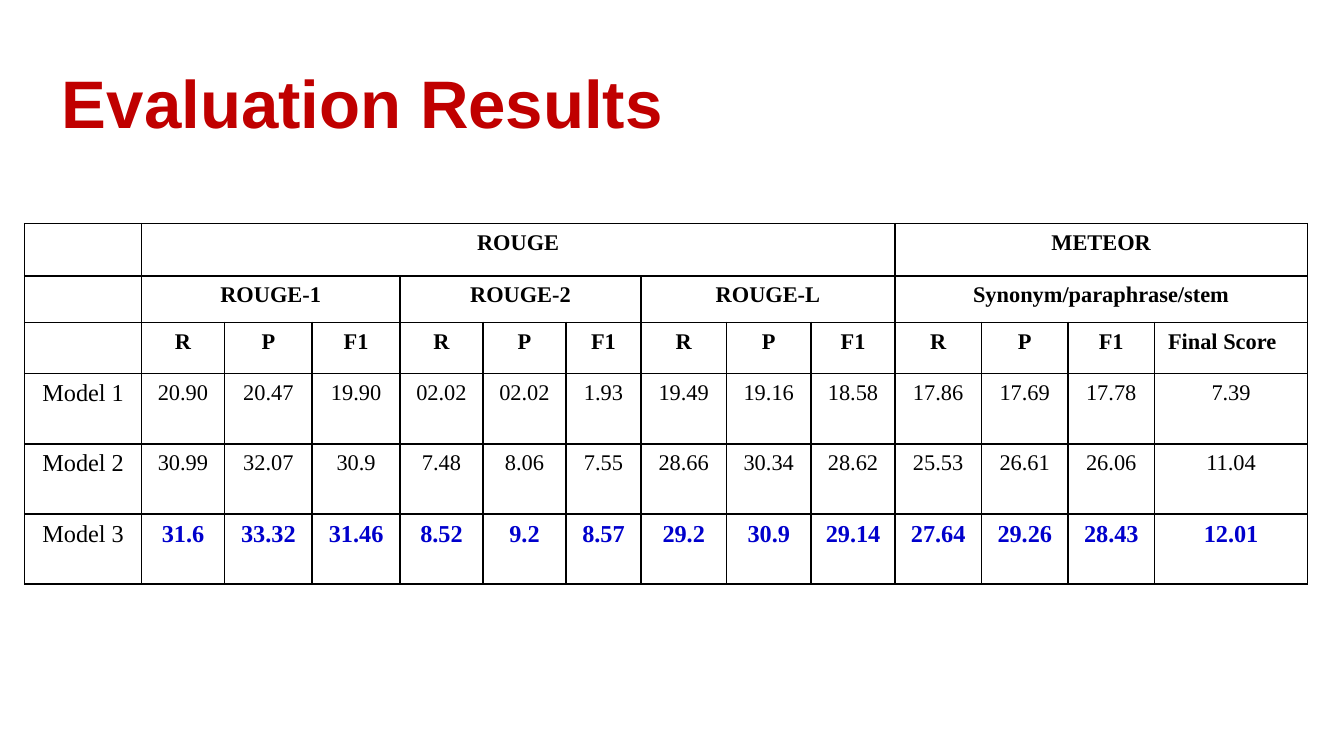
from lxml import etree
from pptx import Presentation
from pptx.dml.color import RGBColor
from pptx.enum import text
from pptx.oxml import ns
from pptx.util import Pt

COLORS = {"title": "C00000", "ink": "000000", "best": "0000CC", "paper": "FFFFFF"}
TITLE = "Evaluation Results"
METRICS = ["R", "P", "F1"]
GROUPS = [
    [("", 1), ("ROUGE", 9), ("METEOR", 4)],
    [("", 1), ("ROUGE-1", 3), ("ROUGE-2", 3), ("ROUGE-L", 3), ("Synonym/paraphrase/stem", 4)],
    [(label, 1) for label in ["", *METRICS * 4, "Final Score"]],
]
SCORES = [
    ["Model 1", "20.90", "20.47", "19.90", "02.02", "02.02", "1.93", "19.49",
     "19.16", "18.58", "17.86", "17.69", "17.78", "7.39"],
    ["Model 2", "30.99", "32.07", "30.9", "7.48", "8.06", "7.55", "28.66",
     "30.34", "28.62", "25.53", "26.61", "26.06", "11.04"],
    ["Model 3", "31.6", "33.32", "31.46", "8.52", "9.2", "8.57", "29.2",
     "30.9", "29.14", "27.64", "29.26", "28.43", "12.01"],
]
COLUMN_WIDTHS = [62.6, 44.5, 47, 47, 44.5, 44.5, 40.2, 45.7, 45.5, 44.8, 46.4, 46.4, 46.4, 82]
ROW_HEIGHTS = [28, 25, 27.4, 37.6, 37.6, 37.6]
TABLE_LEFT, TABLE_TOP = 13.2, 119.8

HEADER = {"name": "Times New Roman", "size": Pt(12), "bold": True}
SCORE = {**HEADER, "bold": False}
MODEL = {**SCORE, "size": Pt(13)}
BEST = {**MODEL, "bold": True}
HEADING = {"name": "Arial", "size": Pt(36), "bold": True}


def apply(target, values):
    for key, value in values.items():
        setattr(target, key, value)


def write(paragraph, words, style, color):
    run = paragraph.add_run()
    run.text = words
    apply(run.font, style)
    run.font.color.rgb = RGBColor.from_string(COLORS[color])


def draw_borders(cell):
    properties = cell._tc.get_or_add_tcPr()
    for side in ("a:lnL", "a:lnR", "a:lnT", "a:lnB"):
        line = etree.SubElement(properties, ns.qn(side), w=str(Pt(1)))
        fill = etree.SubElement(line, ns.qn("a:solidFill"))
        etree.SubElement(fill, ns.qn("a:srgbClr"), val=COLORS["ink"])


def fill_cell(cell, words, style, color):
    paragraph = cell.text_frame.paragraphs[0]
    if words != "Final Score":
        paragraph.alignment = text.PP_ALIGN.CENTER
    if words:
        write(paragraph, words, style, color)
    else:
        etree.SubElement(paragraph._p, ns.qn("a:endParaRPr"), sz="1200")


def main():
    deck = Presentation()
    apply(deck, {"slide_width": Pt(720), "slide_height": Pt(405)})
    slide = deck.slides.add_slide(deck.slide_layouts[5])

    title = slide.shapes.title
    apply(title, {"left": Pt(26), "top": Pt(32.4), "width": Pt(605.5), "height": Pt(49.7)})
    apply(title.text_frame, {
        "margin_left": Pt(7.2), "margin_right": Pt(7.2),
        "margin_top": Pt(7.2), "margin_bottom": Pt(7.2),
        "word_wrap": True, "auto_size": text.MSO_AUTO_SIZE.NONE,
        "vertical_anchor": text.MSO_ANCHOR.MIDDLE,
    })
    heading = title.text_frame.paragraphs[0]
    apply(heading, {"alignment": text.PP_ALIGN.LEFT, "line_spacing": 0.9})
    write(heading, TITLE, HEADING, "title")

    results = slide.shapes.add_table(
        len(ROW_HEIGHTS), len(COLUMN_WIDTHS), Pt(TABLE_LEFT), Pt(TABLE_TOP),
        Pt(sum(COLUMN_WIDTHS)), Pt(sum(ROW_HEIGHTS))).table
    apply(results, {"first_row": False, "horz_banding": False})
    for column, width in zip(results.columns, COLUMN_WIDTHS):
        column.width = Pt(width)
    for row, height in zip(results.rows, ROW_HEIGHTS):
        row.height = Pt(height)
    for cell in results.iter_cells():
        draw_borders(cell)
        cell.fill.solid()
        cell.fill.fore_color.rgb = RGBColor.from_string(COLORS["paper"])

    for r, groups in enumerate(GROUPS):
        c = 0
        for label, span in groups:
            cell = results.cell(r, c)
            if span > 1:
                cell.merge(results.cell(r, c + span - 1))
            fill_cell(cell, label, HEADER, "ink")
            c += span

    for r, scores in enumerate(SCORES, len(GROUPS)):
        is_best = scores is SCORES[-1]
        fill_cell(results.cell(r, 0), scores[0], MODEL, "ink")
        for c, score in enumerate(scores[1:], 1):
            fill_cell(results.cell(r, c), score, BEST if is_best else SCORE,
                      "best" if is_best else "ink")

    deck.save("out.pptx")


if __name__ == "__main__":
    main()
